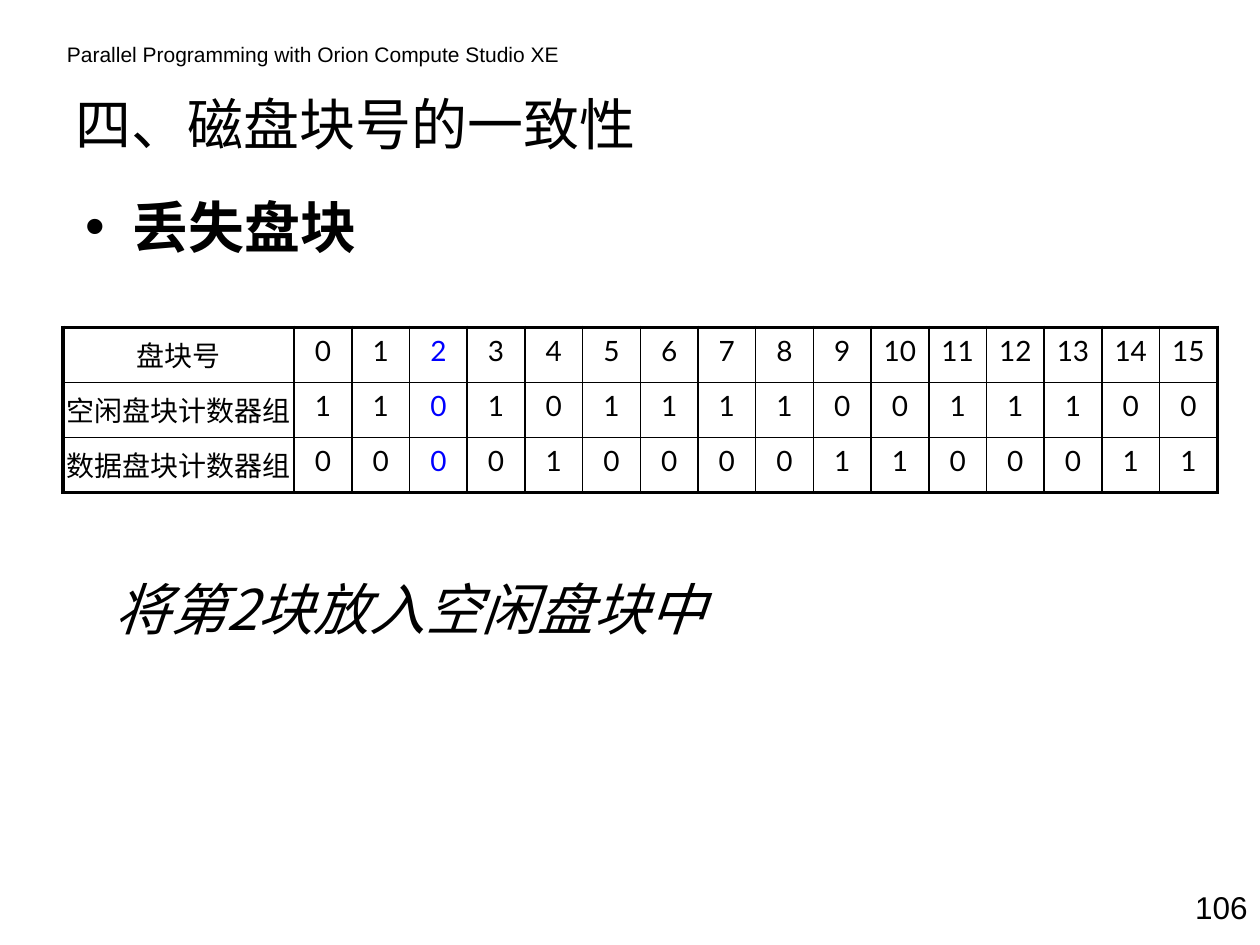
"""Build the slide on disk block consistency: lost blocks."""
from lxml import etree
from pptx import Presentation
from pptx.dml.color import RGBColor
from pptx.enum.text import MSO_ANCHOR, PP_ALIGN
from pptx.oxml.ns import qn
from pptx.util import Cm, Pt

BLACK = RGBColor(0x00, 0x00, 0x00)
BLUE = RGBColor(0x00, 0x00, 0xFF)
LEFT, CENTER, RIGHT = PP_ALIGN.LEFT, PP_ALIGN.CENTER, PP_ALIGN.RIGHT
TOP, MIDDLE = MSO_ANCHOR.TOP, MSO_ANCHOR.MIDDLE
SANS, LATIN, HAN = "Arial", "Lato", "Noto Sans CJK SC"

HEADER = "Parallel Programming with Orion Compute Studio XE"
TITLE = "四、磁盘块号的一致性"
BULLET = "丢失盘块"
REMEDY = "将第2块放入空闲盘块中"
PAGE_NUMBER = "106"
COUNTERS = [
    ("盘块号", range(16)),
    ("空闲盘块计数器组", (1, 1, 0, 1, 0, 1, 1, 1, 1, 0, 0, 1, 1, 1, 0, 0)),
    ("数据盘块计数器组", (0, 0, 0, 0, 1, 0, 0, 0, 0, 1, 1, 0, 0, 0, 1, 1)),
]
LOST_BLOCK = 2

TABLE_LEFT, TABLE_TOP, TABLE_WIDTH = 1.27, 6.6, 23.28
LABEL_WIDTH, ROW_HEIGHT = 4.66, 1.11
THIN, THICK = 1, 2.25


def write(para, text, size, font, color=BLACK, align=LEFT):
    para.text = text
    para.alignment = align
    para.font.size = Pt(size)
    para.font.color.rgb = color
    para.font.name = font
    defaults = para._p.pPr.find(qn("a:defRPr"))
    etree.SubElement(defaults, qn("a:ea"), typeface=HAN)


def add_box(page, left, top, width, height, anchor=TOP):
    frame = page.shapes.add_textbox(Cm(left), Cm(top), Cm(width), Cm(height)).text_frame
    frame.word_wrap = True
    frame.vertical_anchor = anchor
    return frame


def add_body(page):
    frame = add_box(page, 1.47, 3.63, 23.29, 11.43)
    bullet, remedy = frame.paragraphs[0], frame.add_paragraph()
    properties = bullet._p.get_or_add_pPr()
    properties.set("marL", str(Cm(0.95)))
    properties.set("indent", str(-Cm(0.95)))
    etree.SubElement(properties, qn("a:buFont"), typeface=SANS)
    etree.SubElement(properties, qn("a:buChar"), char="•")
    remedy._p.get_or_add_pPr().set("marL", str(Cm(0.58)))
    for para, text in ((bullet, BULLET), (remedy, REMEDY)):
        para.line_spacing = 1.1
        write(para, text, 32, HAN)
    bullet.font.bold = True
    remedy.font.italic = True
    remedy.space_before = Pt(176)


def set_borders(cell, widths):
    properties = cell._tc.get_or_add_tcPr()
    for side, width in zip("LRTB", widths):
        line = etree.SubElement(properties, qn(f"a:ln{side}"), w=str(Pt(width)))
        fill = etree.SubElement(line, qn("a:solidFill"))
        etree.SubElement(fill, qn("a:srgbClr"), val=str(BLACK))


def add_counters(page):
    rows, columns = len(COUNTERS), len(COUNTERS[0][1]) + 1
    table = page.shapes.add_table(rows, columns, Cm(TABLE_LEFT), Cm(TABLE_TOP),
                                  Cm(TABLE_WIDTH), Cm(ROW_HEIGHT * rows)).table
    table.first_row = table.horz_banding = False
    block_width = (TABLE_WIDTH - LABEL_WIDTH) / (columns - 1)
    for c, column in enumerate(table.columns):
        column.width = Cm(block_width if c else LABEL_WIDTH)
    for r, (label, values) in enumerate(COUNTERS):
        table.rows[r].height = Cm(ROW_HEIGHT)
        for c, value in enumerate((label, *values)):
            cell = table.cell(r, c)
            cell.margin_left = cell.margin_right = 0
            outer = (c == 0, c == columns - 1, r == 0, r == rows - 1)
            set_borders(cell, [THICK if edge else THIN for edge in outer])
            cell.fill.background()
            color = BLUE if c == LOST_BLOCK + 1 else BLACK
            write(cell.text_frame.paragraphs[0], str(value), 16, LATIN, color, CENTER)


def main():
    deck = Presentation()
    deck.slide_width, deck.slide_height = Cm(25.4), Cm(19.05)
    page = deck.slides.add_slide(deck.slide_layouts[6])
    header = add_box(page, 1.1, 0.71, 10.8, 0.76)
    write(header.paragraphs[0], HEADER, 12, SANS)
    title = add_box(page, 1.27, 1.52, 18.2, 1.91, MIDDLE)
    write(title.paragraphs[0], TITLE, 32, HAN)
    add_body(page)
    number = add_box(page, 23.29, 17.78, 2.11, 1.27)
    write(number.paragraphs[0], PAGE_NUMBER, 18, SANS, align=RIGHT)
    add_counters(page)
    deck.save("out.pptx")


if __name__ == "__main__":
    main()
